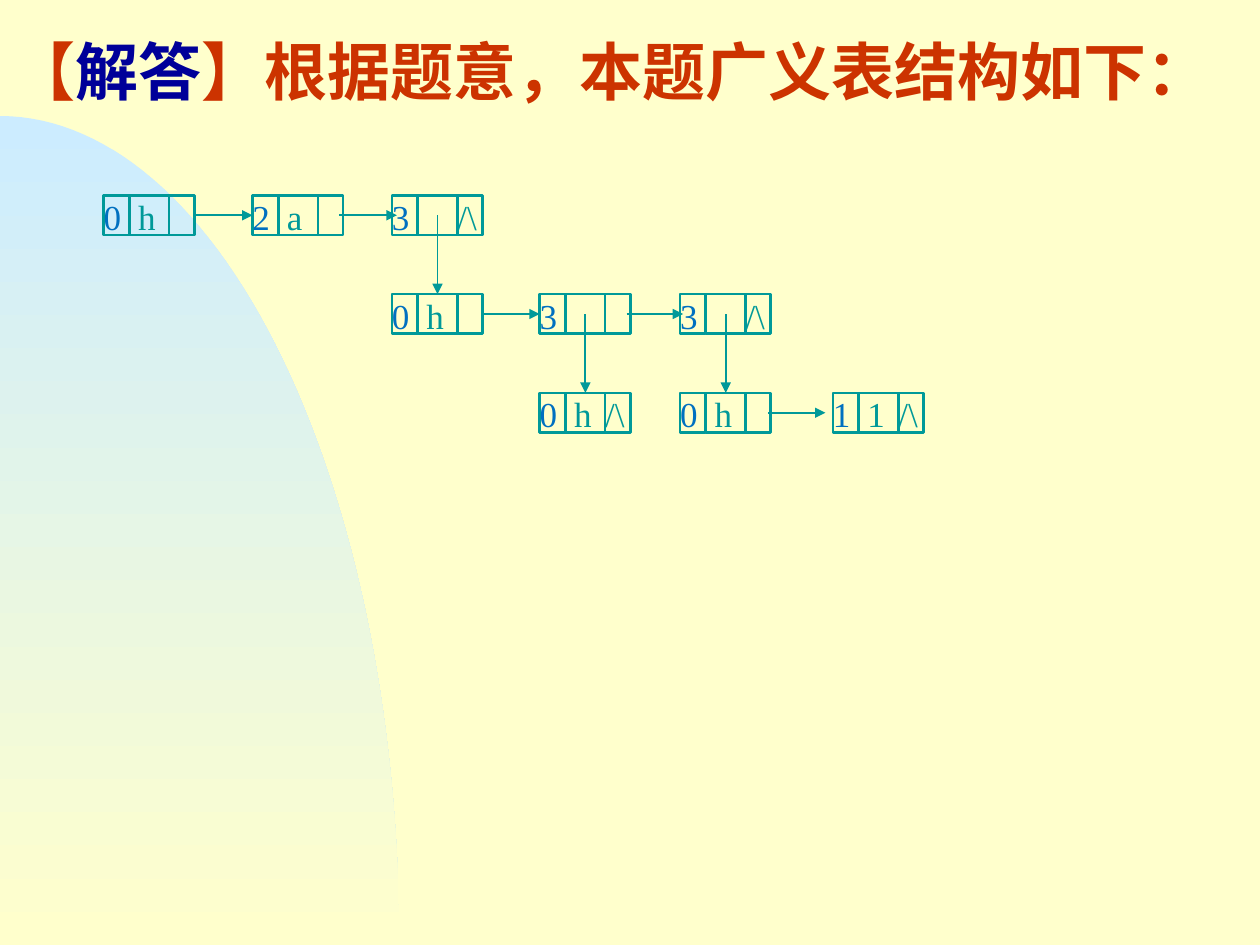
from math import cos, pi, sin

from lxml.etree import SubElement
from pptx import Presentation
from pptx.dml.color import RGBColor
from pptx.enum.shapes import MSO_CONNECTOR, MSO_SHAPE
from pptx.enum.text import MSO_ANCHOR, MSO_AUTO_SIZE, PP_ALIGN
from pptx.oxml.ns import qn
from pptx.util import Cm, Pt

FONT = "Times New Roman"
TEAL, BLUE = "009999", "0070C0"
CELL_WIDTHS = (0.52, 0.8, 0.51)
CELL_HEIGHT = 0.8
LIST_TOP, LEVEL_PITCH = 3.94, 1.99
TOP, LEFT, RIGHT = 0, 1, 3

NODES = {
    "outer head": (2.09, 0, ("0", " h", "")),
    "atom a": (5.09, 0, ("2", " a", "")),
    "outer sublist": (7.9, 0, ("3", "", "/\\")),
    "inner head": (7.9, 1, ("0", " h", "")),
    "empty sublist": (10.88, 1, ("3", "", "")),
    "integer sublist": (13.71, 1, ("3", "", "/\\")),
    "empty head": (10.88, 2, ("0", " h", "/\\")),
    "integer head": (13.71, 2, ("0", " h", "")),
    "integer 1": (16.79, 2, ("1", " 1", "/\\")),
}
NEXT_LINKS = [
    ("outer head", "atom a", 0, 0),
    ("atom a", "outer sublist", 0.08, 0.1),
    ("inner head", "empty sublist", 0, 0),
    ("empty sublist", "integer sublist", 0.08, 0.06),
    ("integer head", "integer 1", 0.05, -0.15),
]
SUBLIST_LINKS = [
    ("outer sublist", "inner head"),
    ("empty sublist", "empty head"),
    ("integer sublist", "integer head"),
]


def color(hex_value):
    return RGBColor.from_string(hex_value)


def add_run(paragraph, text, size, hex_value, bold=False):
    run = paragraph.add_run()
    run.text = text
    run.font.name = FONT
    run.font.size = Pt(size)
    run.font.bold = bold
    run.font.color.rgb = color(hex_value)


def add_dome(slide, left, top, width, height):
    steps = 60
    arc = [
        (Cm(left + width * sin(pi / 2 * i / steps)),
         Cm(top + height * (1 - cos(pi / 2 * i / steps))))
        for i in range(steps + 1)
    ]
    builder = slide.shapes.build_freeform(*arc[0], scale=1.0)
    builder.add_line_segments(arc[1:] + [(Cm(left), Cm(top + height))], close=True)
    dome = builder.convert_to_shape()
    dome.shadow.inherit = False
    dome.line.fill.background()
    dome.fill.gradient()
    dome.fill.gradient_angle = 270
    for stop, hex_value, position in zip(
            dome.fill.gradient_stops, ("CCECFF", "FFFFCC"), (0, 1)):
        stop.color.rgb = color(hex_value)
        stop.position = position


def add_title(slide, left, top, width, height):
    title = slide.shapes.title
    title.left, title.top = Cm(left), Cm(top)
    title.width, title.height = Cm(width), Cm(height)
    frame = title.text_frame
    frame.word_wrap = True
    frame.auto_size = MSO_AUTO_SIZE.NONE
    frame.vertical_anchor = MSO_ANCHOR.TOP
    heading = frame.paragraphs[0]
    heading.alignment = PP_ALIGN.LEFT
    for text, hex_value in (("【", "CC3300"), ("解答", "000099"),
                            ("】根据题意，本题广义表结构如下：", "CC3300")):
        add_run(heading, text, 36, hex_value, bold=True)


def add_node(slide, left, top, texts):
    cells = []
    for width, text, hex_value in zip(CELL_WIDTHS, texts, (BLUE, TEAL, TEAL)):
        cell = slide.shapes.add_shape(
            MSO_SHAPE.RECTANGLE, Cm(left), Cm(top), Cm(width), Cm(CELL_HEIGHT))
        cell.shadow.inherit = False
        cell.fill.background()
        cell.line.color.rgb = color(TEAL)
        cell.line.width = Pt(1.5)
        if text:
            frame = cell.text_frame
            frame.margin_left = frame.margin_right = 0
            frame.margin_top = frame.margin_bottom = 0
            frame.vertical_anchor = MSO_ANCHOR.TOP
            frame.paragraphs[0].alignment = PP_ALIGN.LEFT
            add_run(frame.paragraphs[0], text, 20, hex_value)
        cells.append(cell)
        left += width
    return cells


def add_arrow(slide, start, end):
    arrow = slide.shapes.add_connector(MSO_CONNECTOR.STRAIGHT, *start, *end)
    arrow.line.color.rgb = color(TEAL)
    arrow.line.width = Pt(1)
    SubElement(arrow.line._get_or_add_ln(), qn("a:tailEnd"), type="triangle")
    SubElement(arrow._element.spPr, qn("a:effectLst"))
    return arrow


def middle(cell):
    return cell.left + cell.width // 2, cell.top + cell.height // 2


def link_next(slide, source, target, start_inset, end_inset):
    pointer, tag = source[2], target[0]
    y = middle(pointer)[1]
    arrow = add_arrow(slide,
                      (pointer.left + pointer.width - Cm(start_inset), y),
                      (tag.left + Cm(end_inset), y))
    if not start_inset:
        arrow.begin_connect(pointer, RIGHT)
    if not end_inset:
        arrow.end_connect(tag, LEFT)


def link_sublist(slide, source, target):
    x, y = middle(source[1])
    arrow = add_arrow(slide, (x, y), (x, target[1].top))
    arrow.end_connect(target[1], TOP)


def add_generalized_list(slide, left, top):
    nodes = {
        name: add_node(slide, left + x, top + level * LEVEL_PITCH, texts)
        for name, (x, level, texts) in NODES.items()
    }
    for source, target, start_inset, end_inset in NEXT_LINKS:
        link_next(slide, nodes[source], nodes[target], start_inset, end_inset)
    for source, target in SUBLIST_LINKS:
        link_sublist(slide, nodes[source], nodes[target])


def main():
    deck = Presentation()
    deck.slide_width, deck.slide_height = Cm(25.4), Cm(19.05)
    slide = deck.slides.add_slide(deck.slide_layouts[5])
    slide.background.fill.solid()
    slide.background.fill.fore_color.rgb = color("FFFFCC")
    add_dome(slide, 0, 2.34, 8.05, 16.71)
    add_title(slide, 0, 0.53, 24.9, 1.8)
    add_generalized_list(slide, 0, LIST_TOP)
    deck.save("out.pptx")


if __name__ == "__main__":
    main()
